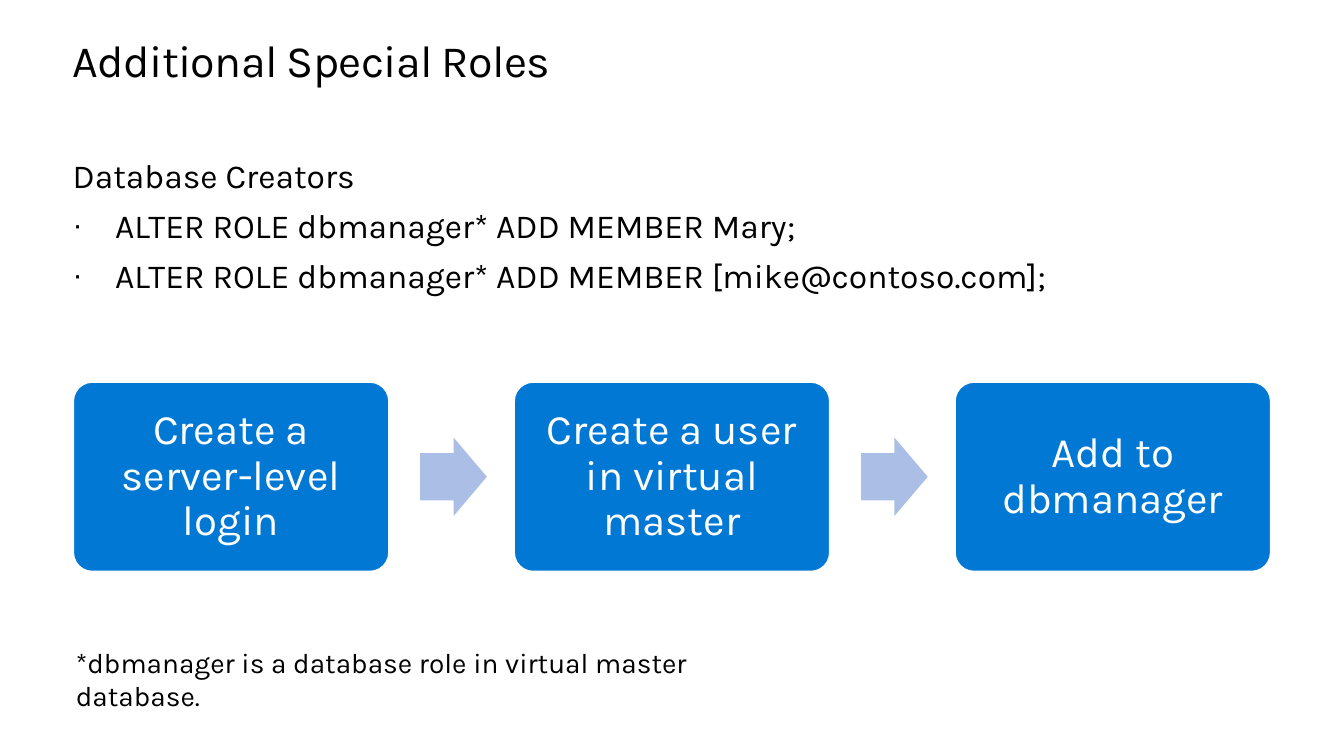
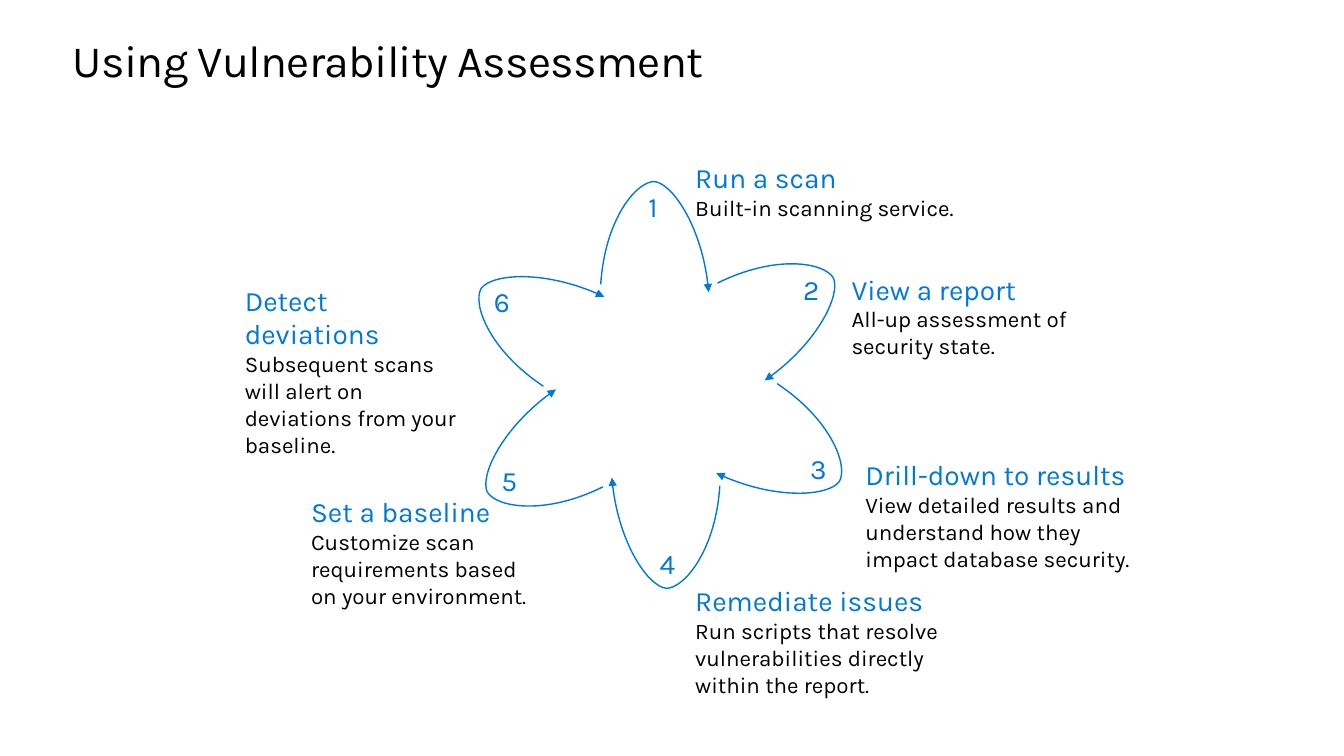
"""Build two slides on database roles and vulnerability assessment."""
from math import cos, radians, sin

from lxml import etree
from pptx import Presentation
from pptx.dml.color import RGBColor
from pptx.enum.shapes import MSO_SHAPE
from pptx.enum.text import MSO_ANCHOR, MSO_AUTO_SIZE, PP_ALIGN
from pptx.oxml.ns import qn
from pptx.util import Cm, Pt

ROUNDED, ARROW, OVAL = MSO_SHAPE.ROUNDED_RECTANGLE, MSO_SHAPE.RIGHT_ARROW, MSO_SHAPE.OVAL
TOP, MIDDLE = MSO_ANCHOR.TOP, MSO_ANCHOR.MIDDLE
LEFT, CENTER = PP_ALIGN.LEFT, PP_ALIGN.CENTER
FIXED = MSO_AUTO_SIZE.NONE
TITLE_AND_BODY, TITLE_ONLY = 1, 5

FONT = "Karla"
COLORS = {"text": "000000", "white": "FFFFFF", "box": "0078D4",
          "arrow": "ABBEE6", "accent": "0078D7"}

ROLES_TITLE = "Additional Special Roles"
ROLES_HEADING = "Database Creators"
ROLES_COMMANDS = ["ALTER ROLE dbmanager* ADD MEMBER Mary;",
                  "ALTER ROLE dbmanager* ADD MEMBER [mike@contoso.com];"]
ROLES_STEPS = ["Create a server-level login", "Create a user in virtual master",
               "Add to dbmanager"]
ROLES_NOTE = "*dbmanager is a database role in virtual master database."

SCAN_TITLE = "Using Vulnerability Assessment"
SCAN_STEPS = [
    ("Run a scan", "Built-in scanning service.", (17.27, 3.91, 9.35, 1.8)),
    ("View a report", "All-up assessment of security state.", (21.21, 6.73, 6.76, 2.49)),
    ("Drill-down to results",
     "View detailed results and understand how they impact database security.",
     (21.56, 11.4, 7.52, 3.18)),
    ("Remediate issues",
     "Run scripts that resolve vulnerabilities directly within the report.",
     (17.27, 14.58, 7.42, 3.18)),
    ("Set a baseline", "Customize scan requirements based on your environment.",
     (7.59, 12.34, 6.05, 3.18)),
    ("Detect deviations",
     "Subsequent scans will alert on deviations from your baseline.",
     (5.92, 7.01, 6.12, 3.18)),
]

TITLE_AREA = (1.83, 0.89, 30.23, 1.27)
BODY_AREA = (1.83, 3.91, 30.23, 4.98)
NOTE_AREA = (1.91, 16.26, 17.98, 1.63)
BOX_LEFT, BOX_TOP, BOX_W, BOX_H, BOX_PITCH = 1.85, 9.63, 7.95, 4.77, 11.11
ARROW_OFFSET, ARROW_W, ARROW_H = 8.74, 1.68, 1.98
HUB = (16.64, 9.7)
PETAL_OFFSET, NUMBER_OFFSET = (-0.14, -3.73), (-0.18, -4.5)
NUMBER_SIZE = 0.89
PETAL_W, PETAL_H = 2.72, 2.79
PETAL = [(0, 2.59), (0.1, 0.97), (0.89, 0), (1.35, 0), (1.8, 0.05), (2.59, 1.19), (2.72, 2.79)]


def rgb(name):
    return RGBColor.from_string(COLORS[name])


def place(sp, area):
    for name, value in zip(("left", "top", "width", "height"), area):
        setattr(sp, name, Cm(value))


def frame(sp, inset=None, anchor=TOP, wrap=True):
    tf = sp.text_frame
    values = {"auto_size": FIXED, "word_wrap": wrap, "vertical_anchor": anchor}
    if inset is not None:
        values.update({f"margin_{side}": Cm(inset) for side in ("left", "top", "right", "bottom")})
    for name, value in values.items():
        setattr(tf, name, value)
    return tf


def write(p, text, size, color="text", **paragraph_format):
    for name, value in paragraph_format.items():
        setattr(p, name, value)
    r = p.add_run()
    r.text = text
    for name, value in {"name": FONT, "size": Pt(size)}.items():
        setattr(r.font, name, value)
    r.font.color.rgb = rgb(color)
    return r


def add_bullet(p, char=None):
    pPr = p._p.get_or_add_pPr()
    indent = Cm(1.07) if char else 0
    pPr.set("marL", str(indent))
    pPr.set("indent", str(-indent))
    if not char:
        etree.SubElement(pPr, qn("a:buNone"))
        return
    color = etree.SubElement(pPr, qn("a:buClr"))
    etree.SubElement(color, qn("a:srgbClr"), val=COLORS["text"])
    etree.SubElement(pPr, qn("a:buSzPct"), val="90000")
    etree.SubElement(pPr, qn("a:buChar"), char=char)


def add_slide(prs, layout, title):
    s = prs.slides.add_slide(prs.slide_layouts[layout])
    sp = s.shapes.title
    place(sp, TITLE_AREA)
    p = frame(sp, 0).paragraphs[0]
    r = write(p, title, 32, alignment=LEFT, line_spacing=Pt(36.2))
    r._r.get_or_add_rPr().set("spc", "-50")
    return s


def paint(sp, fill=None, line=None):
    sp.shadow.inherit = False
    for target, color in ((sp.fill, fill), (sp.line.fill, line)):
        if color:
            target.solid()
            target.fore_color.rgb = rgb(color)
        else:
            target.background()
    if line:
        sp.line.width = Pt(1)


def add_shape(s, kind, area, fill=None, line=None):
    sp = s.shapes.add_shape(kind, *map(Cm, area))
    paint(sp, fill, line)
    return sp


def around_hub(offset, angle):
    x, y = offset
    c, d = cos(radians(angle)), sin(radians(angle))
    return HUB[0] + x * c - y * d, HUB[1] + x * d + y * c


def add_petal(s, angle):
    points = [(Cm(x), Cm(y)) for x, y in PETAL]
    builder = s.shapes.build_freeform(*points[0])
    builder.add_line_segments(points[1:], close=False)
    sp = builder.convert_to_shape()
    outline = sp._element.find(".//" + qn("a:path"))
    segments = outline.findall(qn("a:lnTo"))
    for start in range(0, len(segments), 3):
        curve = etree.SubElement(outline, qn("a:cubicBezTo"))
        for segment in segments[start:start + 3]:
            curve.append(segment[0])
            outline.remove(segment)
    x, y = around_hub(PETAL_OFFSET, angle)
    place(sp, (x - PETAL_W / 2, y - PETAL_H / 2, PETAL_W, PETAL_H))
    sp.rotation = angle
    paint(sp, line="accent")
    ln = sp._element.spPr.find(qn("a:ln"))
    etree.SubElement(ln, qn("a:tailEnd"), type="triangle")


def build_roles(prs):
    s = add_slide(prs, TITLE_AND_BODY, ROLES_TITLE)
    body = s.placeholders[1]
    place(body, BODY_AREA)
    tf = frame(body, 0)
    add_bullet(tf.paragraphs[0])
    write(tf.paragraphs[0], ROLES_HEADING, 24, space_before=Pt(0))
    for command in ROLES_COMMANDS:
        p = tf.add_paragraph()
        add_bullet(p, "·")
        write(p, command, 24, space_before=Pt(6.7))

    for i, step in enumerate(ROLES_STEPS):
        left = BOX_LEFT + i * BOX_PITCH
        box = add_shape(s, ROUNDED, (left, BOX_TOP, BOX_W, BOX_H), "box", "white")
        box.adjustments[0] = 0.1
        p = frame(box, 0.44, MIDDLE).paragraphs[0]
        write(p, step, 30, "white", alignment=CENTER, line_spacing=0.9)
        if i < len(ROLES_STEPS) - 1:
            top = BOX_TOP + (BOX_H - ARROW_H) / 2
            arrow = add_shape(s, ARROW, (left + ARROW_OFFSET, top, ARROW_W, ARROW_H), "arrow")
            arrow.adjustments[0] = 0.6

    note = s.shapes.add_textbox(*map(Cm, NOTE_AREA))
    write(frame(note, 0).paragraphs[0], ROLES_NOTE, 20)


def build_scan(prs):
    s = add_slide(prs, TITLE_ONLY, SCAN_TITLE)
    for i, (heading, detail, area) in enumerate(SCAN_STEPS):
        angle = i * 360 / len(SCAN_STEPS)
        tf = frame(s.shapes.add_textbox(*map(Cm, area)))
        write(tf.paragraphs[0], heading, 20, "accent")
        write(tf.add_paragraph(), detail, 16)
        add_petal(s, angle)
        x, y = around_hub(NUMBER_OFFSET, angle)
        half = NUMBER_SIZE / 2
        number = add_shape(s, OVAL, (x - half, y - half, NUMBER_SIZE, NUMBER_SIZE))
        p = frame(number, 0, MIDDLE, wrap=False).paragraphs[0]
        write(p, str(i + 1), 20, "accent", alignment=CENTER)


def main():
    prs = Presentation()
    prs.slide_width, prs.slide_height = Cm(33.87), Cm(19.05)
    build_roles(prs)
    build_scan(prs)
    prs.save("out.pptx")


if __name__ == "__main__":
    main()
